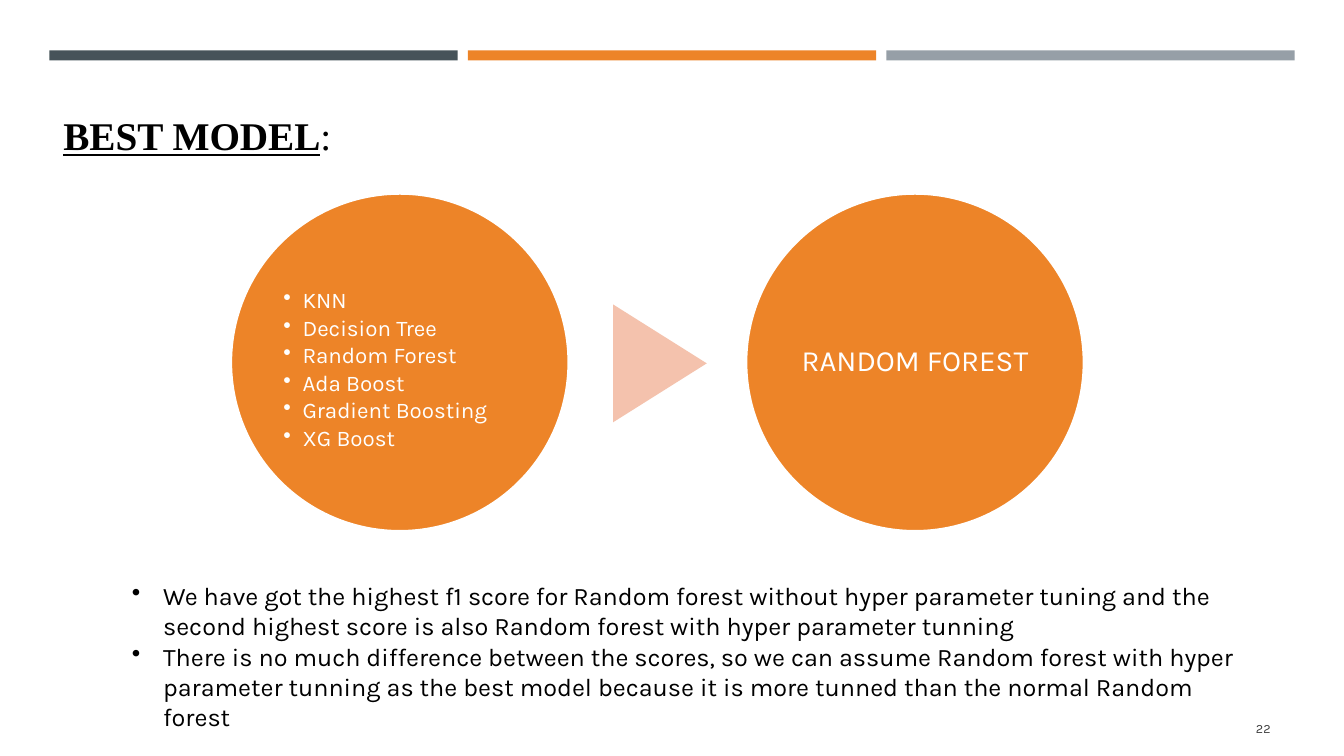
import pptx
import pptx.util
import pptx.dml.color
import pptx.enum.shapes
import pptx.enum.text
import pptx.oxml.ns
import lxml.etree

Inches = pptx.util.Inches
Pt = pptx.util.Pt
Shape = pptx.enum.shapes.MSO_SHAPE
Anchor = pptx.enum.text.MSO_ANCHOR
Align = pptx.enum.text.PP_ALIGN

ORANGE = "ED8428"
WHITE = "FFFFFF"
BLACK = "000000"


def color(code):
    """Turn a hex string into a colour."""
    return pptx.dml.color.RGBColor.from_string(code)


def apply(target, values):
    """Set each named value on the target."""
    for name, value in values.items():
        setattr(target, name, value)


class Deck:
    """Hold the style and the current slide."""

    def __init__(self, font):
        """Open a wide deck with one blank slide."""
        self.font = font
        self.show = pptx.Presentation()
        apply(self.show, {"slide_width": Inches(13.33), "slide_height": Inches(7.5)})
        self.slide = self.show.slides.add_slide(self.show.slide_layouts[6])

    def shape(self, kind, box, fill, line=None):
        """Add a filled preset shape."""
        item = self.slide.shapes.add_shape(kind, *map(Inches, box))
        item.shadow.inherit = False
        item.fill.solid()
        item.fill.fore_color.rgb = color(fill)
        if line:
            item.line.color.rgb = color(line)
            item.line.width = Pt(1.75)
        else:
            item.line.fill.background()
        return item

    def box(self, box):
        """Add an empty text box."""
        return self.slide.shapes.add_textbox(*map(Inches, box))

    def text(self, item, lines, size, code, frame=None, para=None, indent=0):
        """Write lines of runs, with bullets if there is an indent."""
        body = item.text_frame
        apply(body, {"word_wrap": True, **(frame or {})})
        for i, runs in enumerate(lines):
            part = body.paragraphs[0] if i == 0 else body.add_paragraph()
            apply(part, {"alignment": Align.LEFT, **(para or {})})
            if indent:
                self.bullet(part, indent)
            for words, style in runs:
                run = part.add_run()
                run.text = words
                apply(run.font, {"name": self.font, "size": Pt(size), **style})
                run.font.color.rgb = color(code)

    def bullet(self, part, indent):
        """Give a paragraph a hanging round bullet."""
        props = part._p.get_or_add_pPr()
        props.set("marL", str(Inches(indent)))
        props.set("indent", str(-Inches(indent)))
        mark = lxml.etree.SubElement(props, pptx.oxml.ns.qn("a:buChar"))
        mark.set("char", "•")


def plain(*lines):
    """Make each line a single unstyled run."""
    return [[(line, {})] for line in lines]


def main():
    """Build the slide and save it."""
    deck = Deck("Karla")

    for i, fill in enumerate(["465359", ORANGE, "969FA7"]):
        deck.shape(Shape.RECTANGLE, (0.49 + 4.15 * i, 0.5, 4.05, 0.1), fill)

    serif = {"name": "Times New Roman"}
    title = [[("BEST MODEL", {**serif, "bold": True, "underline": True}), (":", serif)]]
    deck.text(deck.box((0.53, 0.32, 12.06, 1.3)), title, 28, BLACK,
              {"vertical_anchor": Anchor.BOTTOM})

    models, best = [
        deck.shape(Shape.OVAL, (left, 1.92, 3.35, 3.35), ORANGE, WHITE)
        for left in (2.29, 7.4)
    ]
    arrow = deck.shape(Shape.ISOSCELES_TRIANGLE, (5.96, 3.14, 1.17, 0.93), "F4C2AD")
    arrow.rotation = 90

    inset = {"margin_" + side: Inches(0.03) for side in ("left", "top", "right", "bottom")}
    frame = {**inset, "vertical_anchor": Anchor.MIDDLE}
    names = plain("KNN", "Decision Tree", "Random Forest", "Ada Boost",
                  "Gradient Boosting", "XG Boost")
    deck.text(models, names, 16, WHITE, {**frame, "margin_top": Inches(0.19)},
              {"line_spacing": 0.9, "space_after": Pt(2.4)}, 0.19)
    deck.text(best, plain("RANDOM FOREST"), 21, WHITE, frame,
              {"line_spacing": 0.9, "alignment": Align.CENTER})

    notes = plain(
        "We have got the highest f1 score for Random forest without hyper parameter "
        "tuning and the second highest score is also Random forest with hyper "
        "parameter tunning",
        "There is no much difference between the scores, so we can assume Random "
        "forest with hyper parameter tunning as the best model because it is more "
        "tunned than the normal Random forest",
    )
    deck.text(deck.box((1.21, 5.71, 11.24, 1.6)), notes, 18, BLACK, indent=0.31)
    deck.text(deck.box((11.55, 7.03, 1.15, 0.4)), plain("22"), 9, "404040",
              {"vertical_anchor": Anchor.MIDDLE}, {"alignment": Align.RIGHT})

    deck.show.save("out.pptx")


if __name__ == "__main__":
    main()
